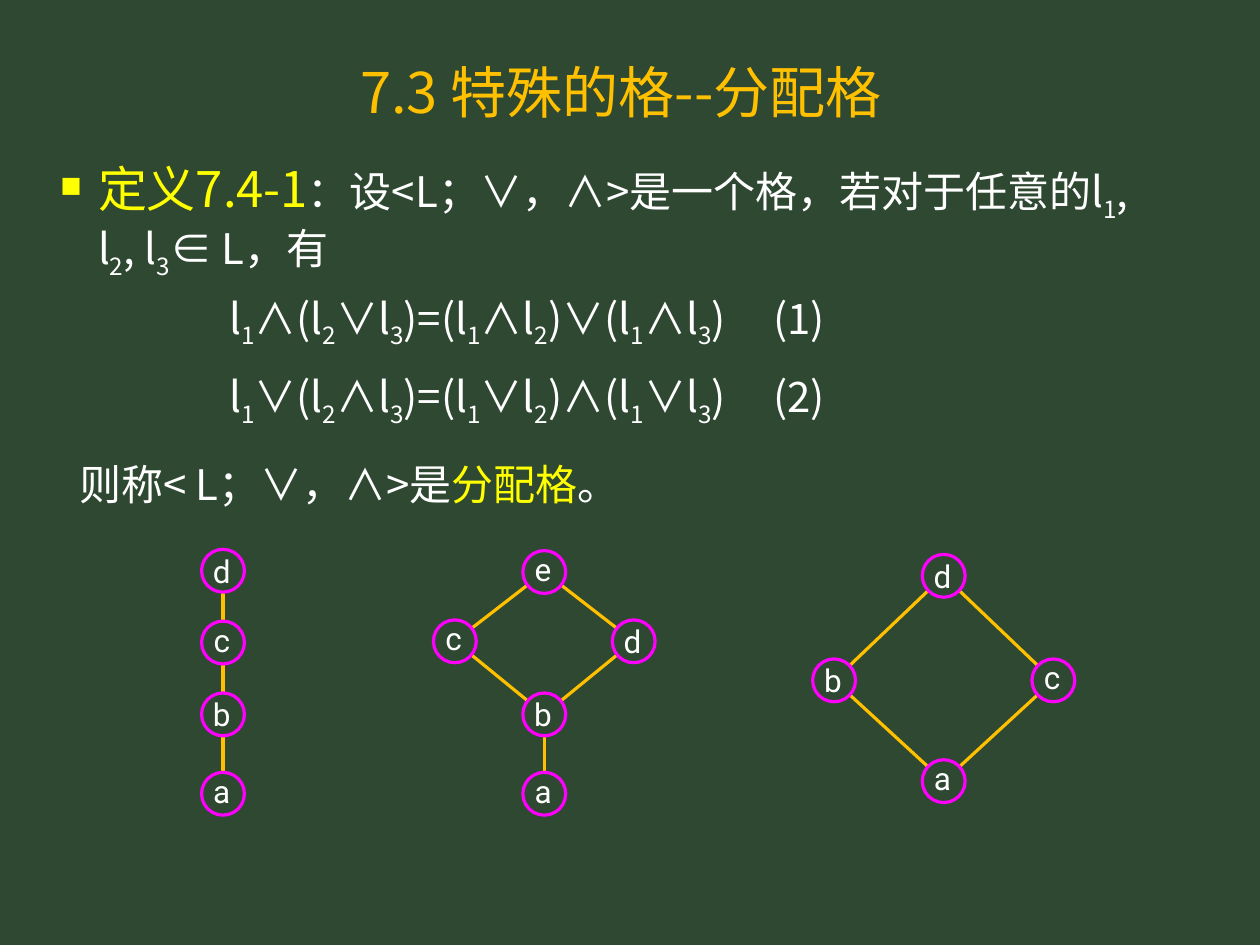
from pptx import Presentation
from pptx.dml.color import RGBColor
from pptx.enum.shapes import MSO_CONNECTOR, MSO_SHAPE
from pptx.enum.text import MSO_ANCHOR, PP_ALIGN
from pptx.oxml.ns import qn
from pptx.util import Inches, Pt
from lxml import etree

BOARD = RGBColor(0x2F, 0x48, 0x32)
AMBER = RGBColor(0xFF, 0xC0, 0x00)
YELLOW = RGBColor(0xFF, 0xFF, 0x00)
WHITE = RGBColor(0xFF, 0xFF, 0xFF)
MAGENTA = RGBColor(0xFF, 0x00, 0xFF)
CJK_FONT = "Noto Sans CJK SC"
NODE_SIZE = 0.34
LINE_WIDTH = Pt(1.8)


def add_text(paragraph, text, color=WHITE, size=24):
    """Append text in which _ sets the next character as a subscript."""
    first, *rest = text.split("_")
    pieces = [(first, False)]
    for part in rest:
        pieces += [(part[0], True), (part[1:], False)]
    for piece, is_subscript in pieces:
        if not piece:
            continue
        run = paragraph.add_run()
        run.text = piece
        run.font.size = Pt(size)
        run.font.name = CJK_FONT
        run.font.color.rgb = color
        props = run._r.get_or_add_rPr()
        etree.SubElement(props, qn("a:ea")).set("typeface", CJK_FONT)
        if is_subscript:
            props.set("baseline", "-25000")


def add_box(left, top, width, height, anchor):
    frame = slide.shapes.add_textbox(
        Inches(left), Inches(top), Inches(width), Inches(height)).text_frame
    frame.word_wrap = True
    frame.vertical_anchor = anchor
    return frame


prs = Presentation()
prs.slide_width, prs.slide_height = Inches(10), Inches(7.5)
slide = prs.slides.add_slide(prs.slide_layouts[6])
slide.background.fill.solid()
slide.background.fill.fore_color.rgb = BOARD

title = add_box(0.67, 0.36, 8.52, 0.73, MSO_ANCHOR.MIDDLE).paragraphs[0]
title.alignment = PP_ALIGN.CENTER
add_text(title, "7.3 特殊的格--分配格", AMBER, 32)

# Definition and conclusion, with room for the two laws between them
definition_frame = add_box(0.38, 1.21, 8.9, 2.85, MSO_ANCHOR.TOP)
definition = definition_frame.paragraphs[0]
props = definition._p.get_or_add_pPr()
props.set("marL", str(Inches(0.3)))
props.set("indent", str(Inches(-0.3)))
bullet_color = etree.SubElement(props, qn("a:buClr"))
etree.SubElement(bullet_color, qn("a:srgbClr")).set("val", str(YELLOW))
etree.SubElement(props, qn("a:buSzPct")).set("val", "60000")
etree.SubElement(props, qn("a:buChar")).set("char", "■")
add_text(definition, "定义7.4-1", YELLOW, 28)
add_text(definition, "：设<L；∨，∧>是一个格，若对于任意的l_1, l_2, l_3∈ L，有")

conclusion = definition_frame.add_paragraph()
conclusion._p.get_or_add_pPr().set("marL", str(Inches(0.15)))
conclusion.space_before = Pt(102)
add_text(conclusion, "则称< L；∨，∧>是")
add_text(conclusion, "分配格", YELLOW)
add_text(conclusion, "。")

laws_frame = add_box(1.72, 2.31, 6.69, 1.1, MSO_ANCHOR.MIDDLE)
first_law = laws_frame.paragraphs[0]
first_law.space_after = Pt(6)
second_law = laws_frame.add_paragraph()
second_law.space_before = Pt(6)
for law, meet, join, number in ((first_law, "∧", "∨", 1), (second_law, "∨", "∧", 2)):
    tab_list = etree.SubElement(law._p.get_or_add_pPr(), qn("a:tabLst"))
    tab = etree.SubElement(tab_list, qn("a:tab"))
    tab.set("pos", str(Inches(4.32)))
    tab.set("algn", "l")
    add_text(law, f"l_1{meet}(l_2{join}l_3)=(l_1{meet}l_2){join}(l_1{meet}l_3)\t({number})")

# Hasse diagrams: node centres in inches, then the edges between them
lattices = [
    ({"d": (1.77, 4.53), "c": (1.77, 5.1), "b": (1.77, 5.67), "a": (1.77, 6.3)},
     ("dc", "cb", "ba")),
    ({"e": (4.32, 4.54), "c": (3.61, 5.09), "d": (5.03, 5.09),
      "b": (4.32, 5.67), "a": (4.32, 6.3)},
     ("ec", "ed", "cb", "db", "ba")),
    ({"d": (7.49, 4.57), "b": (6.62, 5.4), "c": (8.36, 5.4), "a": (7.49, 6.2)},
     ("db", "dc", "ba", "ca")),
]
for nodes, edges in lattices:
    for upper, lower in edges:
        (x1, y1), (x2, y2) = nodes[upper], nodes[lower]
        length = ((x2 - x1) ** 2 + (y2 - y1) ** 2) ** 0.5
        trim_x = (x2 - x1) / length * NODE_SIZE / 2
        trim_y = (y2 - y1) / length * NODE_SIZE / 2
        edge = slide.shapes.add_connector(
            MSO_CONNECTOR.STRAIGHT, Inches(x1 + trim_x), Inches(y1 + trim_y),
            Inches(x2 - trim_x), Inches(y2 - trim_y))
        edge.line.color.rgb = AMBER
        edge.line.width = LINE_WIDTH
        etree.SubElement(edge._element.spPr, qn("a:effectLst"))
    for label, (x, y) in nodes.items():
        node = slide.shapes.add_shape(
            MSO_SHAPE.OVAL, Inches(x - NODE_SIZE / 2), Inches(y - NODE_SIZE / 2),
            Inches(NODE_SIZE), Inches(NODE_SIZE))
        node.shadow.inherit = False
        node.fill.background()
        node.line.color.rgb = MAGENTA
        node.line.width = LINE_WIDTH
        frame = node.text_frame
        frame.word_wrap = False
        frame.vertical_anchor = MSO_ANCHOR.MIDDLE
        frame.margin_left = Inches(0.08)
        frame.margin_top = Inches(0.05 if label in "bd" else 0)
        frame.text = label
        letter = frame.paragraphs[0]
        letter.alignment = PP_ALIGN.CENTER
        letter.runs[0].font.name = "Roboto"
        letter.runs[0].font.size = Pt(18)
        letter.runs[0].font.color.rgb = WHITE

prs.save("out.pptx")
